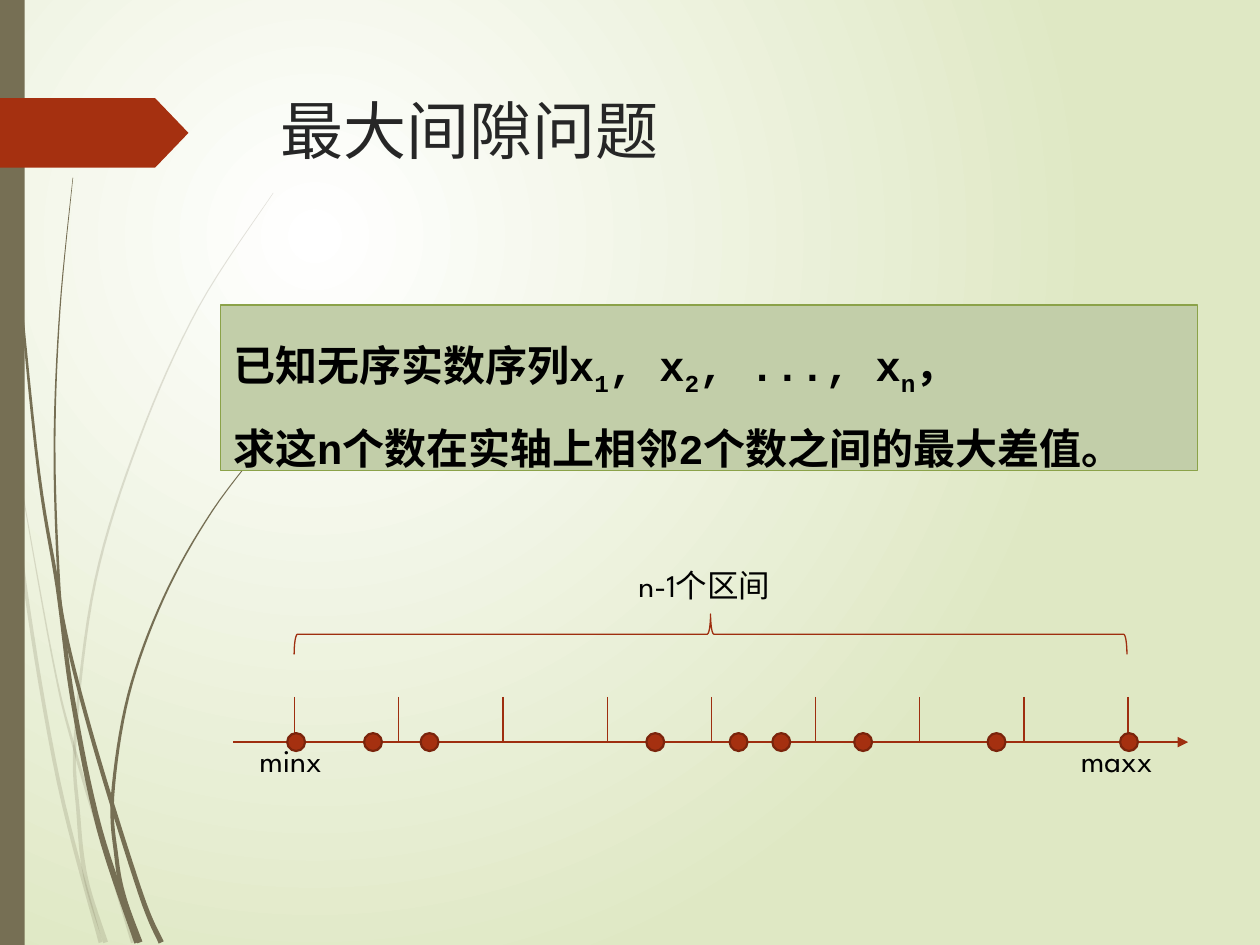
from dataclasses import dataclass
from math import hypot
from lxml.etree import SubElement
from pptx import Presentation
from pptx.dml.color import RGBColor
from pptx.enum.shapes import MSO_CONNECTOR, MSO_SHAPE
from pptx.enum.text import MSO_ANCHOR, MSO_AUTO_SIZE, PP_ALIGN
from pptx.oxml.ns import qn
from pptx.util import Cm, Pt

OLIVE, RUST, EDGE, RIM = "766F54", "A53010", "9E2E0F", "7A240C"
SAGE, LEAF, BLACK, INK = "C2CEA9", "8BA249", "000000", "262626"
SANS, MONO = "League Spartan", "Courier New"
WIDTH, HEIGHT = 25.4, 19.05

AXIS, TICK = 14.96, 14.05
FIRST, STEP, PARTS = 5.94, 2.1, 8
DOT = 0.36
DOTS = [5.79, 7.34, 8.48, 13.03, 14.71, 15.57, 17.22, 19.91, 22.58]
TERMS = [("已知无序实数序列x", "1"), (", x", "2"), (", ..., x", "n")]
GOAL = "求这n个数在实轴上相邻2个数之间的最大差值。"

Spot = tuple[float, float]


@dataclass
class Blade:
    stem: list[Spot]
    tip: float
    root: float


@dataclass
class Label:
    text: str
    left: float
    top: float
    width: float
    height: float = 1.02
    size: int = 18
    tint: str = BLACK
    wrap: bool = False


PALE = [
    Blade([(0.05, 7.4), (0.25, 9.2), (0.52, 11.9), (1.18, 15.75), (2.03, 19)], 0.06, 0.08),
    Blade([(0.25, 8.76), (1.05, 13.23), (1.5, 15.1), (2.26, 17.6), (2.69, 19)], 0.01, 0.1),
    Blade([(5.51, 3.89), (4, 6.2), (2.81, 8.85), (1.92, 11.72), (1.52, 14.83),
           (1.58, 16.4), (1.73, 17.7), (2.13, 19)], 0.01, 0.1),
]
DARK = [
    Blade([(0.06, 0.02), (0.14, 2.79), (0.72, 9.02), (1.16, 11.85), (1.47, 14.13),
           (2, 16.7), (2.77, 19)], 0.02, 0.13),
    Blade([(1.47, 3.58), (1.21, 6.22), (1.1, 8.86), (1.17, 11.4), (1.31, 12.7),
           (1.9, 15.01), (2.83, 18), (3.25, 19)], 0.01, 0.11),
    Blade([(5.48, 8.74), (4.28, 10.3), (3.3, 12.05), (2.59, 14.01), (2.27, 16.05),
           (2.35, 17.3), (2.5, 18.1), (2.82, 19)], 0.01, 0.11),
]
LABELS = [
    Label("minx", 4.98, 14.81, 1.93),
    Label("maxx", 21.54, 14.81, 2.16),
    Label("n-1个区间", 12.62, 11.28, 3.4),
    Label("最大间隙问题", 5.41, 1.73, 18.31, 3.56, 36, INK, True),
]


def color(code: str) -> RGBColor:
    return RGBColor.from_string(code)


def paint(shape, fill: str | None, edge: str | None = None, width: float = 0.75) -> None:
    shape.shadow.inherit = False
    if fill:
        shape.fill.solid()
        shape.fill.fore_color.rgb = color(fill)
    else:
        shape.fill.background()
    if edge:
        shape.line.color.rgb = color(edge)
        shape.line.width = Pt(width)
    else:
        shape.line.fill.background()


def add_shape(shapes, kind: MSO_SHAPE, *box: float):
    return shapes.add_shape(kind, *map(Cm, box))


def add_line(shapes, *ends: float, head: bool = False) -> None:
    line = shapes.add_connector(MSO_CONNECTOR.STRAIGHT, *map(Cm, ends))
    line.line.color.rgb = color(EDGE)
    line.line.width = Pt(0.75)
    props = line.element.spPr
    if head:
        SubElement(props.find(qn("a:ln")), qn("a:tailEnd"), type="triangle")
    SubElement(props, qn("a:effectLst"))


def blend(a: float, b: float, c: float, d: float, t: float) -> float:
    bend = 2 * a - 5 * b + 4 * c - d
    twist = 3 * (b - c) + d - a
    return b + t * (c - a + t * (bend + t * twist)) / 2


def smooth(stem: list[Spot], cuts: int = 8) -> list[Spot]:
    pad = [stem[0], *stem, stem[-1]]
    curve = []
    for four in zip(pad, pad[1:], pad[2:], pad[3:]):
        xs, ys = zip(*four)
        curve += [(blend(*xs, n / cuts), blend(*ys, n / cuts)) for n in range(cuts)]
    return curve + [stem[-1]]


def outline(blade: Blade) -> list[Spot]:
    curve = smooth(blade.stem)
    last = len(curve) - 1
    left, right = [], []
    for num, (x, y) in enumerate(curve):
        back, ahead = curve[max(num - 1, 0)], curve[min(num + 1, last)]
        dx, dy = ahead[0] - back[0], ahead[1] - back[1]
        half = (blade.tip + (blade.root - blade.tip) * num / last) / 2 / hypot(dx, dy)
        left.append((x - dy * half, y + dx * half))
        right.append((x + dy * half, y - dx * half))
    return left + right[::-1]


def add_blade(shapes, blade: Blade, alpha: int) -> None:
    spots = [(Cm(x), Cm(y)) for x, y in outline(blade)]
    pen = shapes.build_freeform(*spots[0])
    pen.add_line_segments(spots[1:], close=True)
    form = pen.convert_to_shape()
    paint(form, OLIVE)
    tone = form.element.spPr.find(qn("a:solidFill"))[0]
    SubElement(tone, qn("a:alpha"), val=str(alpha * 1000))


def style(para, face: str, size: int, tint: str, bold: bool = False) -> None:
    font = para.font
    font.name, font.size, font.bold = face, Pt(size), bold
    font.color.rgb = color(tint)


def add_label(shapes, label: Label) -> None:
    box = shapes.add_textbox(*map(Cm, (label.left, label.top, label.width, label.height)))
    frame = box.text_frame
    frame.word_wrap = label.wrap
    frame.auto_size = MSO_AUTO_SIZE.NONE if label.wrap else MSO_AUTO_SIZE.SHAPE_TO_FIT_TEXT
    para = frame.paragraphs[0]
    para.text = label.text
    style(para, SANS, label.size, label.tint)


def add_index(para, text: str) -> None:
    run = para.add_run()
    run.text = text
    run._r.get_or_add_rPr().set("baseline", "-25000")


def add_task(shapes) -> None:
    panel = add_shape(shapes, MSO_SHAPE.RECTANGLE, 4.45, 6.15, 19.69, 3.33)
    paint(panel, SAGE, LEAF)
    frame = panel.text_frame
    frame.word_wrap = True
    frame.vertical_anchor = MSO_ANCHOR.TOP
    frame.auto_size = MSO_AUTO_SIZE.SHAPE_TO_FIT_TEXT
    intro, goal = frame.paragraphs[0], frame.add_paragraph()
    for base, index in TERMS:
        intro.add_run().text = base
        add_index(intro, index)
    intro.add_run().text = "，"
    goal.text = GOAL
    for para in (intro, goal):
        para.alignment = PP_ALIGN.LEFT
        para.line_spacing = 1.5
        style(para, MONO, 24, BLACK, True)


def add_back(slide) -> None:
    fill = slide.background.fill
    fill.gradient()
    for spot, (stop, code) in enumerate(zip(fill.gradient_stops, ("FFFFFF", "DFE8C4"))):
        stop.color.rgb = color(code)
        stop.position = spot
    lin = next(slide.element.iter(qn("a:lin")))
    grad = lin.getparent()
    grad.remove(lin)
    way = SubElement(grad, qn("a:path"), {"path": "circle"})
    SubElement(way, qn("a:fillToRect"), l="50000", t="50000", r="100000", b="100000")


def add_decor(shapes) -> None:
    for blades, alpha in ((PALE, 20), (DARK, 100)):
        group = shapes.add_group_shape().shapes
        for blade in blades:
            add_blade(group, blade, alpha)
    paint(add_shape(shapes, MSO_SHAPE.RECTANGLE, 0, 0, 0.5, HEIGHT), OLIVE)
    arrow = add_shape(shapes, MSO_SHAPE.PENTAGON, 0, 1.98, 3.8, 1.4)
    arrow.adjustments[0] = 0.48
    paint(arrow, RUST)


def add_scale(shapes) -> None:
    add_line(shapes, 4.7, AXIS, 23.95, AXIS, head=True)
    marks = shapes.add_group_shape().shapes
    for num in range(PARTS + 1):
        x = FIRST + num * STEP
        add_line(marks, x, TICK, x, AXIS)
    brace = add_shape(marks, MSO_SHAPE.RIGHT_BRACE, 13.92, 4.39, 0.81, 16.79)
    brace.rotation = 270
    paint(brace, None, EDGE)
    for left in DOTS:
        dot = add_shape(shapes, MSO_SHAPE.OVAL, left, AXIS - DOT / 2, DOT, DOT)
        paint(dot, RUST, RIM, 1.25)


def main() -> None:
    deck = Presentation()
    deck.slide_width, deck.slide_height = Cm(WIDTH), Cm(HEIGHT)
    slide = deck.slides.add_slide(deck.slide_layouts[6])
    add_back(slide)
    add_decor(slide.shapes)
    add_task(slide.shapes)
    add_scale(slide.shapes)
    for label in LABELS:
        add_label(slide.shapes, label)
    deck.save("out.pptx")


if __name__ == "__main__":
    main()
